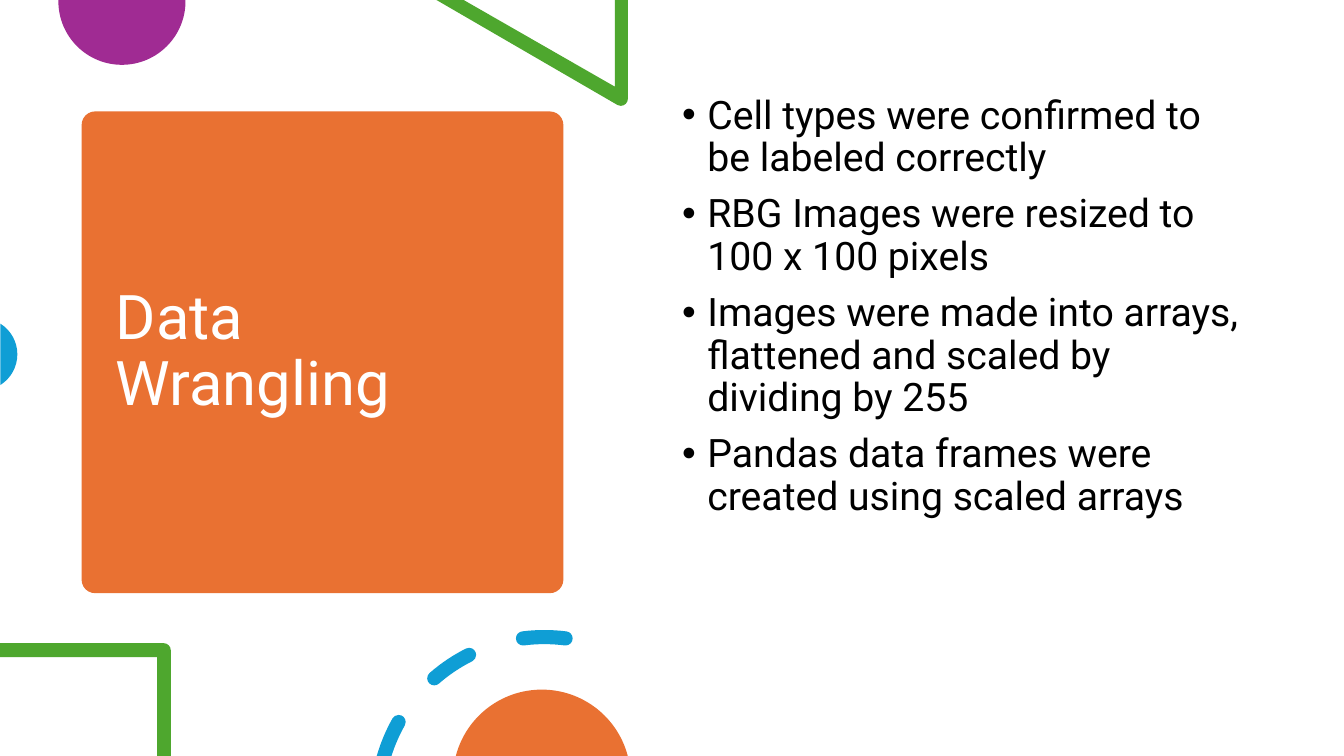
import math
from dataclasses import dataclass

import pptx
import pptx.dml.color
import pptx.enum.shapes
import pptx.enum.text
import pptx.oxml
import pptx.oxml.ns
import pptx.util

Pt = pptx.util.Pt
RGBColor = pptx.dml.color.RGBColor
Point = tuple[float, float]
Step = list[Point]  # one point for a line, three for a curve

ORANGE = RGBColor(0xE9, 0x71, 0x32)
PURPLE = RGBColor(0xA0, 0x2B, 0x93)
GREEN = RGBColor(0x4E, 0xA7, 0x2E)
BLUE = RGBColor(0x0F, 0x9E, 0xD5)
WHITE = RGBColor(0xFF, 0xFF, 0xFF)
BLACK = RGBColor(0, 0, 0)
FONT = "Roboto"
WIDTH, HEIGHT = 960, 540
UNITS = 100  # outline units per point

# Ring of blue dashes: centre, outer and inner radius
RING: Point = (388.8, 574.6)
OUTER, INNER = 124.6, 114.5


@dataclass
class Decoration:
    color: RGBColor
    contours: list[list[Step]]


@dataclass
class TextBlock:
    left: float
    top: float
    width: float
    height: float
    size: float
    color: RGBColor
    lines: list[str]
    anchor: pptx.enum.text.MSO_ANCHOR
    bulleted: bool = False


def on_circle(center: Point, radius: float, angle: float) -> Point:
    turn = math.radians(angle)
    return center[0] + radius * math.cos(turn), center[1] + radius * math.sin(turn)


def arc(center: Point, radius: float, start: float, end: float) -> list[Step]:
    """Curves from start to end in degrees, split where the circle meets its axes."""
    low, high = sorted((start, end))
    axes = [a for a in range(-360, 721, 90) if low < a < high]
    angles = sorted([start, *axes, end], reverse=start > end)
    steps = [[on_circle(center, radius, start)]]
    for a, b in zip(angles, angles[1:]):
        pull = 4 / 3 * math.tan(math.radians(b - a) / 4) * radius
        (x1, y1), (x2, y2) = on_circle(center, radius, a), on_circle(center, radius, b)
        dx1, dy1 = on_circle((0, 0), pull, a + 90)
        dx2, dy2 = on_circle((0, 0), pull, b + 90)
        steps.append([(x1 + dx1, y1 + dy1), (x2 - dx2, y2 - dy2), (x2, y2)])
    return steps


def lines(*points: Point) -> list[Step]:
    return [[point] for point in points]


def cap(angle: float, turn: float) -> list[Step]:
    """Round end of a dash, without the point where the dash already is."""
    middle = on_circle(RING, (OUTER + INNER) / 2, angle)
    return arc(middle, (OUTER - INNER) / 2, turn, turn + 180)[1:]


def dash(start: float, end: float) -> list[Step]:
    return (arc(RING, OUTER, start, end) + cap(end, end)
            + arc(RING, INNER, end, start)[1:] + cap(start, start + 180))


def cut_dash(end: float) -> list[Step]:
    """Dash that runs off the bottom edge of the page."""
    depth = RING[1] - HEIGHT
    outer_start, inner_start = (180 + math.degrees(math.asin(depth / radius))
                                for radius in (OUTER, INNER))
    return (arc(RING, OUTER, outer_start, end) + cap(end, end)
            + arc(RING, INNER, end, inner_start)[1:])


PURPLE_DISC = Decoration(PURPLE, [
    lines((132.5, 0)) + arc((87.1, 0.9), 45.4, 0, 180) + lines((41.7, 0))])
GREEN_TRIANGLE = Decoration(GREEN, [
    lines((311.8, 0)) + arc((443.5, 70.6), 5, 118, 0)
    + lines((448.5, 0), (439.2, 0), (439.2, 61.9), (331.2, 0))])
BLUE_DISC = Decoration(BLUE, [arc((-13.5, 253.1), 25.9, -58, 58)])
GREEN_SQUARE = Decoration(GREEN, [
    lines((0, 459.4)) + arc((117, 464.4), 5, 270, 360)
    + lines((122, HEIGHT), (112.3, HEIGHT), (112.3, 469.4), (0, 469.4))])
BLUE_DASHES = Decoration(BLUE, [
    cut_dash(209.5), dash(228.9, 243.3), dash(262.7, 277.3)])
ORANGE_DISC = Decoration(ORANGE, [arc((387, 556.1), 63.5, 194.8, 345.2)])

TITLE = TextBlock(75.6, 87.8, 309, 328.3, 44, WHITE, ["Data Wrangling"],
                  pptx.enum.text.MSO_ANCHOR.MIDDLE)
BODY = TextBlock(480.2, 64.6, 414, 385.2, 28, BLACK, [
    "Cell types were confirmed to be labeled correctly",
    "RBG Images were resized to 100 x 100 pixels",
    "Images were made into arrays, flattened and scaled by dividing by 255",
    "Pandas data frames were created using scaled arrays",
], pptx.enum.text.MSO_ANCHOR.TOP, bulleted=True)


def paint(shape, color: RGBColor) -> None:
    shape.shadow.inherit = False
    shape.fill.solid()
    shape.fill.fore_color.rgb = color
    shape.line.fill.background()


def draw_decoration(page, decoration: Decoration) -> None:
    contours = [[[(round(x * UNITS), round(y * UNITS)) for x, y in step]
                 for step in contour] for contour in decoration.contours]
    builder = page.shapes.build_freeform(*contours[0][0][-1], scale=Pt(1) / UNITS)
    for index, contour in enumerate(contours):
        if index:
            builder.move_to(*contour[0][-1])
        builder.add_line_segments([step[-1] for step in contour[1:]], close=True)
    shape = builder.convert_to_shape()
    paint(shape, decoration.color)

    # Bend the segments that are curves
    ends = [step[-1] for contour in contours for step in contour]
    left, top = min(x for x, _ in ends), min(y for _, y in ends)
    segments = list(shape._element.iter(pptx.oxml.ns.qn("a:lnTo")))
    steps = [step for contour in contours for step in contour[1:]]
    for segment, step in zip(segments, steps):
        if len(step) == 3:
            points = "".join(f'<a:pt x="{x - left}" y="{y - top}"/>' for x, y in step)
            curve = pptx.oxml.parse_xml(
                f'<a:cubicBezTo {pptx.oxml.ns.nsdecls("a")}>{points}</a:cubicBezTo>')
            segment.getparent().replace(segment, curve)


def add_bullet(para) -> None:
    properties = para._p.get_or_add_pPr()
    properties.set("marL", str(Pt(18)))
    properties.set("indent", str(-Pt(18)))
    for tag, key, value in (("a:buFont", "typeface", "Arial"), ("a:buChar", "char", "•")):
        properties.append(pptx.oxml.parse_xml(
            f'<{tag} {pptx.oxml.ns.nsdecls("a")} {key}="{value}"/>'))


def draw_text(page, block: TextBlock) -> None:
    box = page.shapes.add_textbox(Pt(block.left), Pt(block.top),
                                  Pt(block.width), Pt(block.height))
    frame = box.text_frame
    frame.word_wrap = True
    frame.vertical_anchor = block.anchor
    for index, line in enumerate(block.lines):
        para = frame.add_paragraph() if index else frame.paragraphs[0]
        para.text = line
        para.line_spacing = 0.9
        if index:
            para.space_before = Pt(10)
        if block.bulleted:
            add_bullet(para)
        para.font.name = FONT
        para.font.size = Pt(block.size)
        para.font.color.rgb = block.color


def main() -> None:
    deck = pptx.Presentation()
    deck.slide_width, deck.slide_height = Pt(WIDTH), Pt(HEIGHT)
    page = deck.slides.add_slide(deck.slide_layouts[6])

    # Title panel
    panel = page.shapes.add_shape(pptx.enum.shapes.MSO_SHAPE.ROUNDED_RECTANGLE,
                                  Pt(58.3), Pt(79.6), Pt(344.1), Pt(344.1))
    panel.adjustments[0] = 0.028
    paint(panel, ORANGE)
    draw_text(page, TITLE)

    # Decorations around the edges
    for decoration in (PURPLE_DISC, GREEN_TRIANGLE, BLUE_DISC,
                       GREEN_SQUARE, BLUE_DASHES, ORANGE_DISC):
        draw_decoration(page, decoration)

    # Bullets
    draw_text(page, BODY)

    deck.save("out.pptx")


if __name__ == "__main__":
    main()
